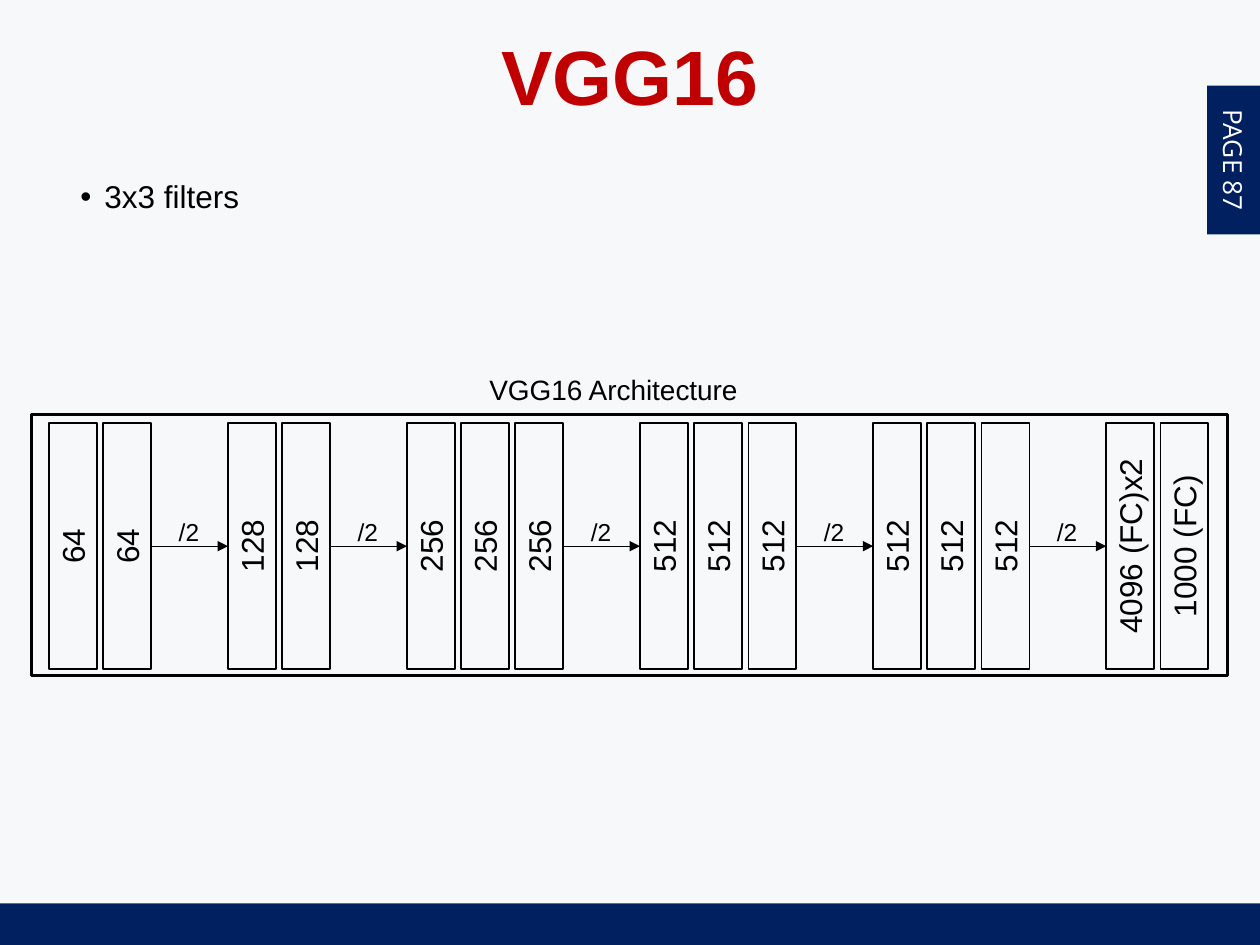
"""Build the VGG16 architecture slide."""
from lxml import etree
from pptx import Presentation
from pptx.dml.color import RGBColor
from pptx.enum import shapes, text
from pptx.oxml import ns
from pptx.util import Inches, Pt

NAVY = RGBColor(0x00, 0x20, 0x60)
RED = RGBColor(0xC0, 0x00, 0x00)
BLACK = RGBColor(0x00, 0x00, 0x00)
WHITE = RGBColor(0xFF, 0xFF, 0xFF)
PAPER = RGBColor(0xF7, 0xF8, 0xFA)

STAGES = [
    ["64", "64"],
    ["128", "128"],
    ["256", "256", "256"],
    ["512", "512", "512"],
    ["512", "512", "512"],
    ["4096 (FC)x2", "1000 (FC)"],
]
BAR_WIDTH, BAR_HEIGHT, BAR_PITCH, STAGE_GAP = 0.38, 1.95, 0.43, 0.61
LABEL_WIDTH, LABEL_HEIGHT = 1.65, 0.29


def lengths(box):
    """Turn left, top, width and height into inches."""
    return [Inches(value) for value in box]


def write(shape, words, size, color=BLACK, font="Arial", bold=False,
          align=text.PP_ALIGN.CENTER, anchor=text.MSO_ANCHOR.TOP):
    """Put one formatted run into a shape and return its paragraph."""
    frame = shape.text_frame
    frame.word_wrap = True
    frame.vertical_anchor = anchor
    para = frame.paragraphs[0]
    para.alignment = align
    span = para.add_run()
    span.text = words
    span.font.name = font
    span.font.size = Pt(size)
    span.font.bold = bold
    span.font.color.rgb = color
    return para


def add_box(parent, box, fill=None, line_width=None):
    """Add a rectangle with an optional fill and black outline."""
    shape = parent.add_shape(shapes.MSO_SHAPE.RECTANGLE, *lengths(box))
    shape.shadow.inherit = False
    if fill is None:
        shape.fill.background()
    else:
        shape.fill.solid()
        shape.fill.fore_color.rgb = fill
    if line_width is None:
        shape.line.fill.background()
    else:
        shape.line.color.rgb = BLACK
        shape.line.width = Pt(line_width)
    return shape


def add_label(parent, box, words, size, rotation=0):
    """Add a centred text box."""
    label = parent.add_textbox(*lengths(box))
    label.rotation = rotation
    write(label, words, size)


def add_arrow(parent, start, end, y):
    """Add a thin horizontal arrow."""
    arrow = parent.add_connector(
        shapes.MSO_CONNECTOR.STRAIGHT, *lengths((start, y, end, y)))
    arrow.line.color.rgb = BLACK
    arrow.line.width = Pt(0.5)
    etree.SubElement(arrow.line._get_or_add_ln(), ns.qn("a:tailEnd"), type="triangle")
    etree.SubElement(arrow._element.spPr, ns.qn("a:effectLst"))


def add_frame(page):
    """Add the bottom band and the rotated page tab."""
    add_box(page.shapes, (0, 7.17, 10, 0.33), NAVY)
    tab = add_box(page.shapes, (9.2, 1.06, 1.18, 0.42), NAVY)
    tab.rotation = 90
    write(tab, "PAGE 87", 15, WHITE, "Open Sans", anchor=text.MSO_ANCHOR.MIDDLE)


def add_title(page, box):
    """Move and format the title placeholder."""
    title = page.shapes.title
    title.left, title.top, title.width, title.height = lengths(box)
    write(title, "VGG16", 44, RED, bold=True, anchor=text.MSO_ANCHOR.MIDDLE)


def add_bullet(page, box):
    """Add the bulleted remark."""
    remark = page.shapes.add_textbox(*lengths(box))
    para = write(remark, "3x3 filters", 18, align=text.PP_ALIGN.LEFT)
    properties = para._p.get_or_add_pPr()
    properties.set("marL", str(Inches(0.19)))
    properties.set("indent", str(-Inches(0.19)))
    etree.SubElement(properties, ns.qn("a:buFont"), typeface="Arial")
    etree.SubElement(properties, ns.qn("a:buChar"), char="•")


def add_layer(parent, left, top, words):
    """Add one layer bar with its upright label."""
    add_box(parent, (left, top, BAR_WIDTH, BAR_HEIGHT), line_width=1)
    label_left = left + (BAR_WIDTH - LABEL_WIDTH) / 2 - 0.06
    label_top = top + (BAR_HEIGHT - LABEL_HEIGHT) / 2
    add_label(parent, (label_left, label_top, LABEL_WIDTH, LABEL_HEIGHT), words, 18, 270)


def add_architecture(page, box):
    """Add the captioned network diagram inside the given box."""
    parent = page.shapes.add_group_shape().shapes
    left, top, width, height = box
    caption = add_box(parent, (left + 3.2, top - 0.38, 2.84, 0.37), PAPER)
    write(caption, "VGG16 Architecture", 16)
    add_box(parent, box, line_width=1.5)
    x, bar_top = left + 0.14, top + 0.07
    middle = bar_top + BAR_HEIGHT / 2
    for number, stage in enumerate(STAGES):
        if number:
            add_label(parent, (x - STAGE_GAP + 0.08, middle - 0.28, 0.44, 0.29), "/2", 14)
            add_arrow(parent, x - STAGE_GAP, x, middle)
        for index, words in enumerate(stage):
            add_layer(parent, x + index * BAR_PITCH, bar_top, words)
        x += (len(stage) - 1) * BAR_PITCH + BAR_WIDTH + STAGE_GAP


def main():
    """Build and save the deck."""
    deck = Presentation()
    deck.slide_width, deck.slide_height = Inches(10), Inches(7.5)
    page = deck.slides.add_slide(deck.slide_layouts.get_by_name("Title Only"))
    page.background.fill.solid()
    page.background.fill.fore_color.rgb = PAPER
    add_frame(page)
    add_title(page, (0.5, 0.12, 9, 0.94))
    add_bullet(page, (0.54, 1.36, 9.46, 0.96))
    add_architecture(page, (0.25, 3.29, 9.49, 2.07))
    deck.save("out.pptx")


if __name__ == "__main__":
    main()
